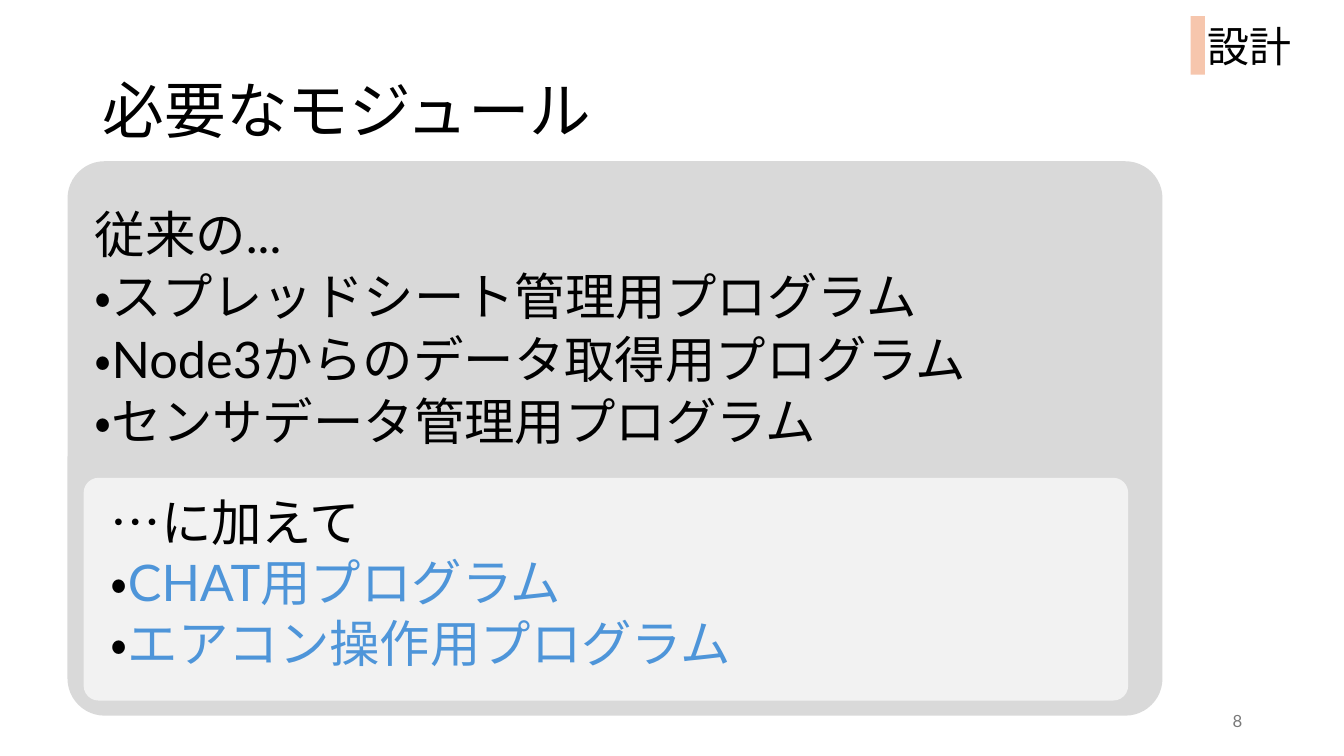
from dataclasses import dataclass

from pptx import Presentation
from pptx import util as u
from pptx.dml.color import RGBColor
from pptx.enum import lang, shapes, text


@dataclass(frozen=True)
class Theme:
    font: str = "Lato"
    ink: str = "000000"
    new: str = "4E95D9"
    muted: str = "797979"
    panel: str = "D9D9D9"
    inset: str = "F2F2F2"
    tab: str = "F6C6AD"
    title_size: int = 44
    body_size: int = 36
    section_size: int = 30
    number_size: int = 12


class SlideBuilder:
    def __init__(self, slide, theme):
        self.slide, self.theme = slide, theme

    def format_run(self, r, size, color):
        r.font.size = u.Pt(size)
        r.font.name = self.theme.font
        r.font.language_id = lang.MSO_LANGUAGE_ID.JAPANESE
        r.font.color.rgb = RGBColor.from_string(color)

    def title(self, words, box):
        sp = self.slide.shapes.title
        sp.left, sp.top, sp.width, sp.height = map(u.Inches, box)
        tf = sp.text_frame
        tf.text = words
        tf.word_wrap = True
        tf.vertical_anchor = text.MSO_ANCHOR.MIDDLE
        p = tf.paragraphs[0]
        p.alignment = text.PP_ALIGN.LEFT
        p.line_spacing = 0.9
        self.format_run(p.runs[0], self.theme.title_size, self.theme.ink)

    def block(self, kind, box, color, radius=None):
        sp = self.slide.shapes.add_shape(kind, *map(u.Inches, box))
        if radius is not None:
            sp.adjustments[0] = radius
        sp.shadow.inherit = False
        sp.fill.solid()
        sp.fill.fore_color.rgb = RGBColor.from_string(color)
        sp.line.fill.background()

    def textbox(self, lines, box, size, wrap=True, spacing=None, before=0,
                align=text.PP_ALIGN.LEFT, anchor=text.MSO_ANCHOR.TOP):
        """Each line is a list of (words, color) pairs."""
        tf = self.slide.shapes.add_textbox(*map(u.Inches, box)).text_frame
        tf.word_wrap = wrap
        tf.vertical_anchor = anchor
        for i, line in enumerate(lines):
            p = tf.add_paragraph() if i else tf.paragraphs[0]
            p.alignment = align
            p.line_spacing = spacing
            p.space_before = u.Pt(before)
            for words, color in line:
                r = p.add_run()
                r.text = words
                self.format_run(r, size, color)


def main():
    prs = Presentation()
    prs.slide_width, prs.slide_height = u.Inches(13.33), u.Inches(7.5)
    theme = Theme()
    s = SlideBuilder(prs.slides.add_slide(prs.slide_layouts[5]), theme)
    rounded = shapes.MSO_SHAPE.ROUNDED_RECTANGLE

    # Panels and title
    s.block(rounded, (0.67, 1.6, 10.86, 5.5), theme.panel, 0.067)
    s.block(rounded, (0.83, 4.74, 10.36, 2.21), theme.inset, 0.067)
    s.title("必要なモジュール", (0.92, 0.4, 11.5, 1.45))

    # Existing modules
    existing = ["従来の...", "・スプレッドシート管理用プログラム",
                "・Node3からのデータ取得用プログラム", "・センサデータ管理用プログラム"]
    s.textbox([[(words, theme.ink)] for words in existing],
              (0.84, 2.08, 11.5, 2.66), theme.body_size, spacing=0.8, before=10)

    # Added modules
    added = ["CHAT用プログラム", "エアコン操作用プログラム"]
    s.textbox([[("…に加えて", theme.ink)]]
              + [[("・", theme.ink), (words, theme.new)] for words in added],
              (1, 4.82, 6.77, 1.92), theme.body_size, wrap=False)

    # Section tab and slide number
    s.block(shapes.MSO_SHAPE.RECTANGLE, (11.81, 0.16, 0.14, 0.58), theme.tab)
    s.textbox([[("設計", theme.ink)]], (11.88, 0.15, 1.06, 0.61), theme.section_size)
    s.textbox([[("8", theme.muted)]], (9.42, 6.95, 3, 0.4), theme.number_size,
              align=text.PP_ALIGN.RIGHT, anchor=text.MSO_ANCHOR.MIDDLE)

    prs.save("out.pptx")


if __name__ == "__main__":
    main()
